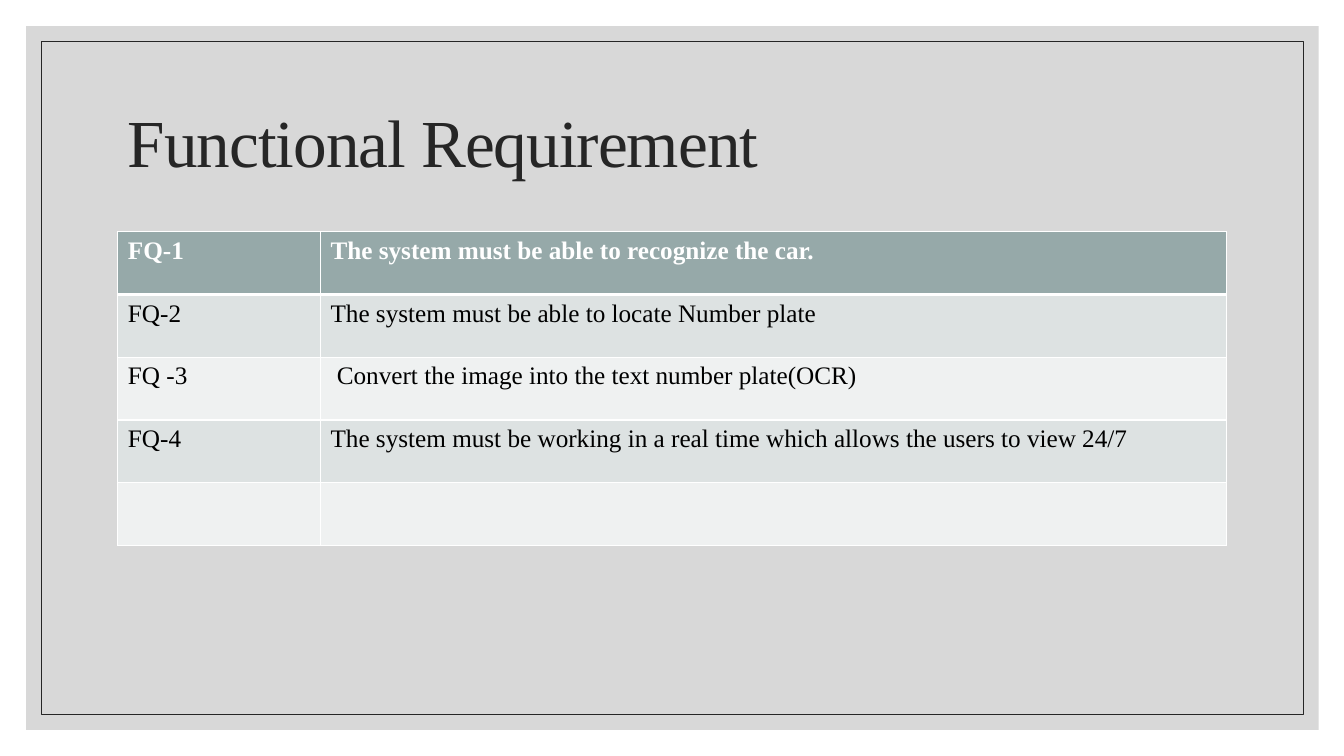
from lxml import etree
from pptx import Presentation
from pptx.dml.color import RGBColor
from pptx.enum.shapes import MSO_SHAPE
from pptx.enum.text import MSO_ANCHOR, PP_ALIGN
from pptx.oxml.ns import qn
from pptx.util import Inches, Pt

RECT = MSO_SHAPE.RECTANGLE
MIDDLE = MSO_ANCHOR.MIDDLE
LEFT = PP_ALIGN.LEFT

FONT = "Times New Roman"
COLORS = {
    "panel": "BFBFBF", "ink": "262626", "text": "000000", "white": "FFFFFF",
    "head": "96A9A9", "dark": "DDE2E2", "light": "EFF1F1",
}
ROWS = [
    ("FQ-1", "The system must be able to recognize the car."),
    ("FQ-2", "The system must be able to locate Number plate"),
    ("FQ -3", " Convert the image into the text number plate(OCR)"),
    ("FQ-4", "The system must be working in a real time which allows the users to view 24/7"),
    ("", ""),
]


def rgb(name):
    return RGBColor.from_string(COLORS[name])


class Deck:
    """Style and current slide; boxes are percentages of the slide's size."""

    def __init__(self):
        self.prs = Presentation()
        self.prs.slide_width = Inches(13.33)
        self.prs.slide_height = Inches(7.5)
        self.slide = self.prs.slides.add_slide(self.prs.slide_layouts[5])

    def wide(self, share):
        return int(self.prs.slide_width * share / 100)

    def high(self, share):
        return int(self.prs.slide_height * share / 100)

    def box(self, x, y, w, h):
        return self.wide(x), self.high(y), self.wide(w), self.high(h)

    def style(self, para, size, color, bold=False):
        font = para.font
        font.name, font.size, font.bold = FONT, Pt(size), bold
        font.color.rgb = rgb(color)

    def title(self, text, *area):
        shape = self.slide.shapes.title
        shape.left, shape.top, shape.width, shape.height = self.box(*area)
        frame = shape.text_frame
        frame.text = text
        frame.vertical_anchor = MIDDLE
        para = frame.paragraphs[0]
        para.alignment = LEFT
        para.line_spacing = 0.9
        self.style(para, 48, "ink")
        # Tighter letter spacing, in hundredths of a point
        para.runs[0].font.size = Pt(48)
        para.runs[0].font._element.set("spc", "-70")

    def rect(self, *area, fill=None, alpha=100, line=None):
        shape = self.slide.shapes.add_shape(RECT, *self.box(*area))
        shape.shadow.inherit = False
        if fill:
            shape.fill.solid()
            shape.fill.fore_color.rgb = rgb(fill)
            tone = shape.element.spPr.find(".//" + qn("a:srgbClr"))
            etree.SubElement(tone, qn("a:alpha")).set("val", str(alpha * 1000))
        else:
            shape.fill.background()
        if line:
            shape.line.color.rgb = rgb(line)
            shape.line.width = Pt(0.5)
        else:
            shape.line.fill.background()
        # Keep the backdrop behind the title
        self.slide.shapes.title.element.addprevious(shape.element)

    def edge(self, cell, side, width):
        props = cell._tc.get_or_add_tcPr()
        line = etree.SubElement(props, qn("a:ln" + side), w=str(Pt(width)))
        fill = etree.SubElement(line, qn("a:solidFill"))
        etree.SubElement(fill, qn("a:srgbClr"), val=COLORS["white"])

    def table(self, rows, cols, *area):
        grid = self.slide.shapes.add_table(len(rows), len(cols), *self.box(*area)).table
        for col, share in zip(grid.columns, cols):
            col.width = self.wide(share)
        for r, row in enumerate(rows):
            tone = "head" if r == 0 else ("light", "dark")[r % 2]
            for c, text in enumerate(row):
                cell = grid.cell(r, c)
                cell.text = text
                color = "white" if r == 0 else "text"
                self.style(cell.text_frame.paragraphs[0], 18, color, r == 0)
                # Thick rule under the header row
                for side in "LRTB":
                    thick = (r, side) in ((0, "B"), (1, "T"))
                    self.edge(cell, side, 3 if thick else 1)
                cell.fill.solid()
                cell.fill.fore_color.rgb = rgb(tone if r == 0 else ("dark" if r % 2 else "light"))


def main():
    deck = Deck()
    # Backdrop
    deck.rect(1.95, 3.47, 96.17, 93.07, fill="panel", alpha=60)
    deck.rect(3.08, 5.47, 93.92, 89.07, line="ink")
    # Title and requirements
    deck.title("Functional Requirement", 8.77, 9.33, 82.52, 20)
    deck.table(ROWS, (15.08, 67.44), 8.77, 30.67, 82.52, 41.47)
    deck.prs.save("out.pptx")


if __name__ == "__main__":
    main()
